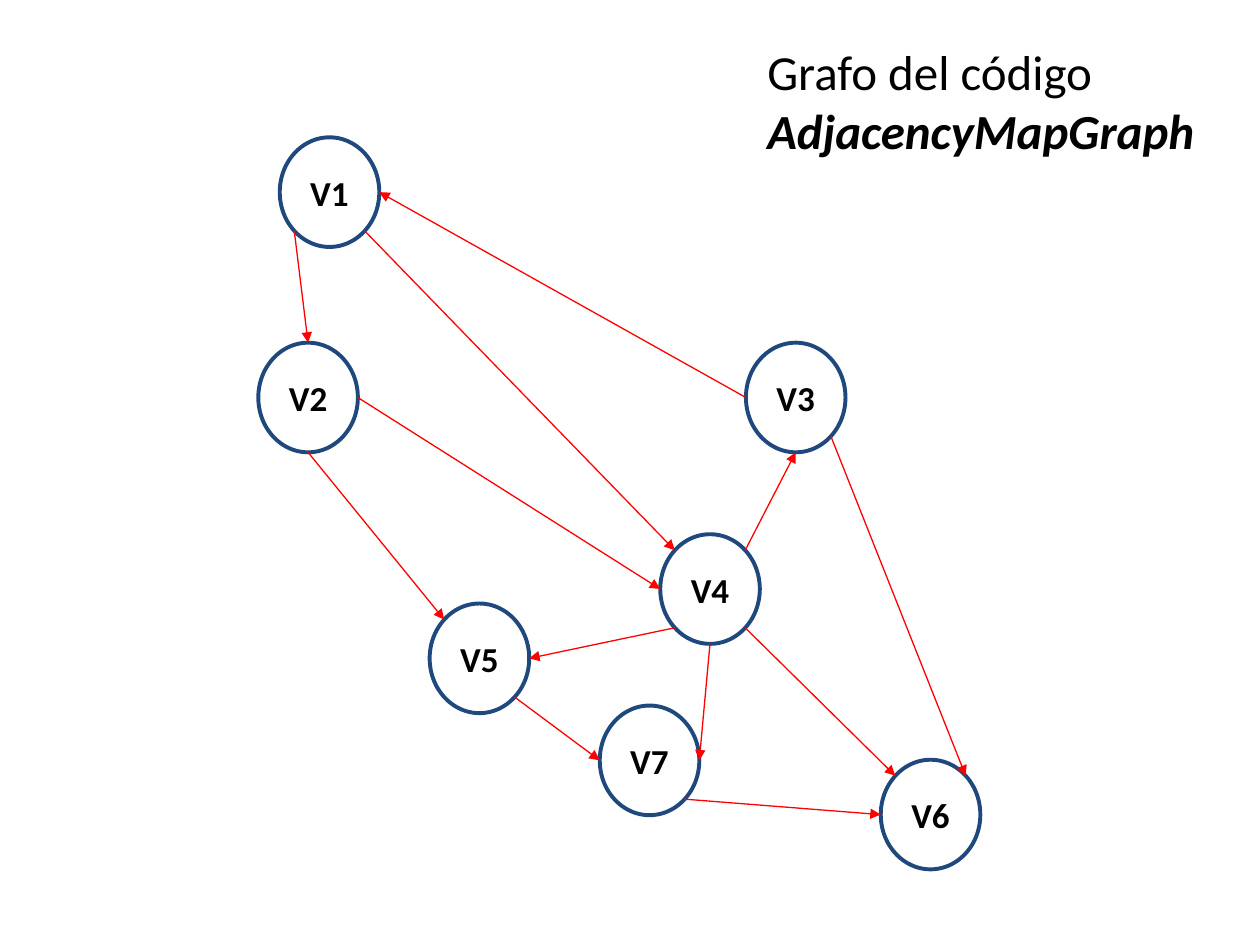
from math import cos, radians, sin

from pptx import Presentation
from pptx.dml.color import RGBColor
from pptx.enum.shapes import MSO_CONNECTOR, MSO_SHAPE
from pptx.enum.text import MSO_ANCHOR, MSO_AUTO_SIZE, PP_ALIGN
from pptx.oxml.ns import qn
from pptx.util import Inches, Pt
from lxml.etree import SubElement

COLORS = {"text": "000000", "node": "FFFFFF", "outline": "1F497D", "edge": "FF0000"}
NODE_WIDTH, NODE_HEIGHT = 0.79, 0.87

TITLE = [
    ("Grafo del código", {}),
    ("AdjacencyMapGraph", {"bold": True, "italic": True}),
]

# Left and top of each vertex
VERTICES = {
    "V1": (2.22, 1.09),
    "V6": (6.99, 6.03),
    "V2": (2.05, 2.72),
    "V3": (5.92, 2.72),
    "V5": (3.41, 4.79),
    "V7": (4.76, 5.6),
    "V4": (5.24, 4.24),
}

# Angle of each point on a vertex's outline, clockwise from the right
SITES = {
    "right": 0, "bottom right": 45, "bottom": 90, "bottom left": 135,
    "left": 180, "top left": 225, "top": 270, "top right": 315,
}

EDGES = [
    ("V1", "bottom left", "V2", "top"),
    ("V1", "bottom right", "V4", "top left"),
    ("V2", "bottom", "V5", "top left"),
    ("V2", "right", "V4", "left"),
    ("V3", "left", "V1", "right"),
    ("V3", "bottom right", "V6", "top right"),
    ("V4", "top right", "V3", "bottom"),
    ("V4", "bottom left", "V5", "right"),
    ("V4", "bottom right", "V6", "top left"),
    ("V4", "bottom", "V7", "right"),
    ("V5", "bottom right", "V7", "left"),
    ("V7", "bottom right", "V6", "left"),
]


def color(name):
    return RGBColor.from_string(COLORS[name])


def write(paragraph, text, size, **formats):
    span = paragraph.add_run()
    span.text = text
    span.font.color.rgb = color("text")
    for name, value in {"name": "Calibri", "size": Pt(size), **formats}.items():
        setattr(span.font, name, value)


def add_title(page):
    box = page.shapes.title
    box.left, box.top, box.width, box.height = map(Inches, (5.99, 0.28, 3.62, 1.04))
    frame = box.text_frame
    frame.word_wrap = False
    frame.auto_size = MSO_AUTO_SIZE.SHAPE_TO_FIT_TEXT
    frame.vertical_anchor = MSO_ANCHOR.TOP
    for index, (text, formats) in enumerate(TITLE):
        paragraph = frame.add_paragraph() if index else frame.paragraphs[0]
        paragraph.alignment = PP_ALIGN.LEFT
        write(paragraph, text, 28, **formats)


def add_vertex(page, label, left, top):
    node = page.shapes.add_shape(
        MSO_SHAPE.OVAL, *map(Inches, (left, top, NODE_WIDTH, NODE_HEIGHT)))
    node.shadow.inherit = False
    node.fill.solid()
    node.fill.fore_color.rgb = color("node")
    node.line.color.rgb = color("outline")
    node.line.width = Pt(2.25)
    frame = node.text_frame
    frame.vertical_anchor = MSO_ANCHOR.MIDDLE
    frame.paragraphs[0].alignment = PP_ALIGN.CENTER
    write(frame.paragraphs[0], label, 20, bold=True)


def outline_point(label, site):
    left, top = VERTICES[label]
    angle = radians(SITES[site])
    return (Inches(left + NODE_WIDTH / 2 * (1 + cos(angle))),
            Inches(top + NODE_HEIGHT / 2 * (1 + sin(angle))))


def add_edge(page, source, source_site, target, target_site):
    edge = page.shapes.add_connector(
        MSO_CONNECTOR.STRAIGHT,
        *outline_point(source, source_site), *outline_point(target, target_site))
    edge.line.color.rgb = color("edge")
    edge.line.width = Pt(0.75)
    SubElement(edge.line._get_or_add_ln(), qn("a:tailEnd"), type="triangle")
    SubElement(edge._element.spPr, qn("a:effectLst"))


def main():
    deck = Presentation()
    deck.slide_width, deck.slide_height = Inches(10), Inches(7.5)
    page = deck.slides.add_slide(deck.slide_layouts.get_by_name("Title Only"))
    for label, (left, top) in VERTICES.items():
        add_vertex(page, label, left, top)
    for edge in EDGES:
        add_edge(page, *edge)
    add_title(page)
    deck.save("out.pptx")


if __name__ == "__main__":
    main()
